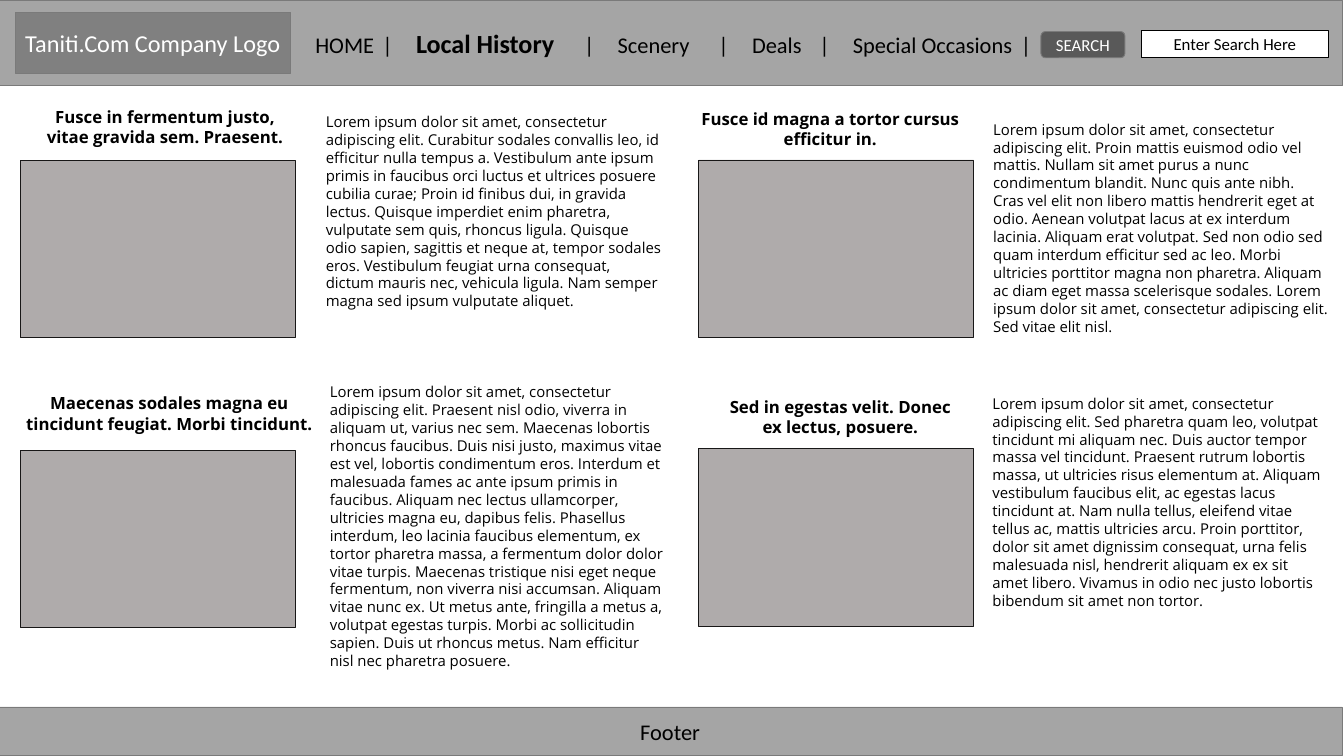
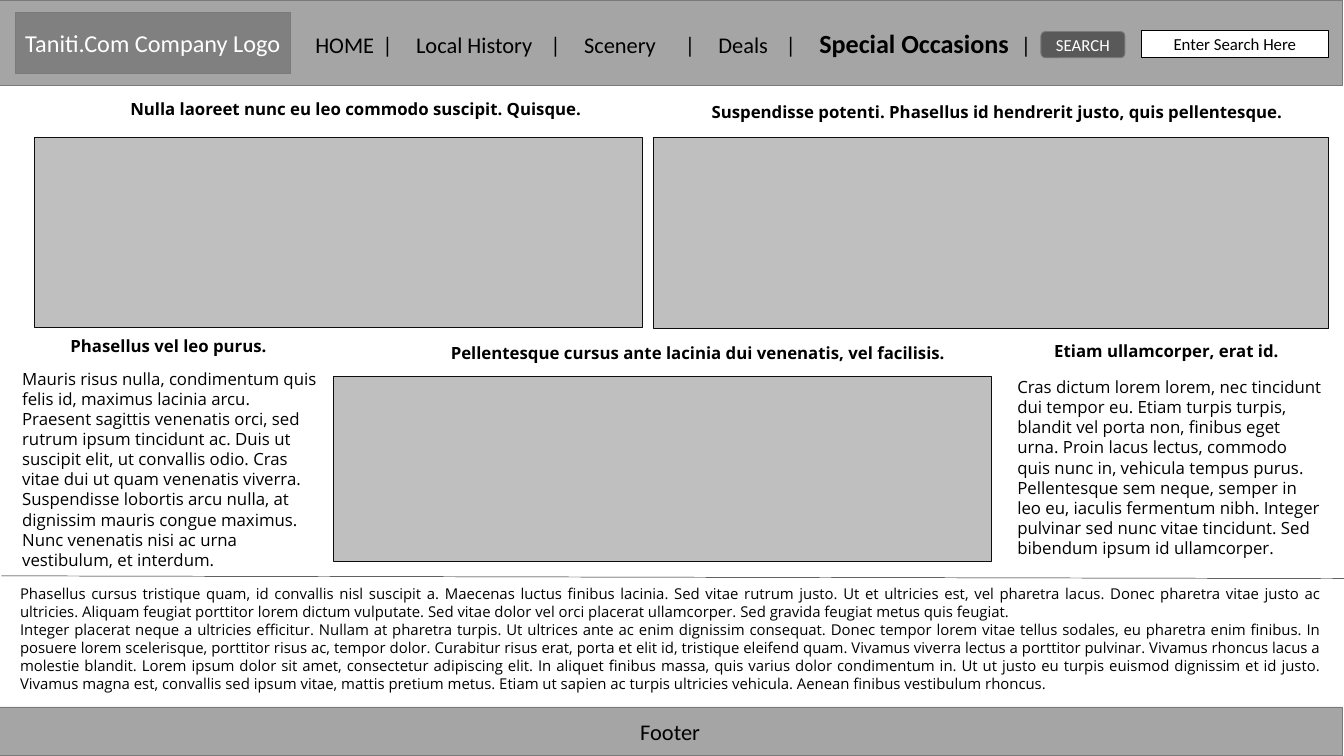
from lxml import etree
from pptx import Presentation
from pptx.dml.color import RGBColor
from pptx.enum.shapes import MSO_CONNECTOR, MSO_SHAPE
from pptx.enum.text import MSO_ANCHOR, MSO_AUTO_SIZE, PP_ALIGN
from pptx.oxml.ns import qn
from pptx.util import Pt

RECT, ROUNDED = MSO_SHAPE.RECTANGLE, MSO_SHAPE.ROUNDED_RECTANGLE
LEFT, CENTER, JUSTIFY = PP_ALIGN.LEFT, PP_ALIGN.CENTER, PP_ALIGN.JUSTIFY
MIDDLE, GROW = MSO_ANCHOR.MIDDLE, MSO_AUTO_SIZE.SHAPE_TO_FIT_TEXT

COLORS = {
    "band": "A5A5A5", "band_line": "7A7A7A", "logo": "808080", "button": "595959",
    "white": "FFFFFF", "black": "000000", "story": "AFABAB", "story_line": "181717",
    "event": "BFBFBF", "event_line": "0D0D0D",
}
FORMATS = {
    "nav": {"name": "Calibri", "size": Pt(24), "bold": False},
    "nav_active": {"name": "Calibri", "size": Pt(28), "bold": True},
    "logo": {"name": "Calibri", "size": Pt(26)},
    "control": {"name": "Calibri", "size": Pt(18)},
    "heading": {"name": "Open Sans", "size": Pt(18), "bold": True},
    "body": {"name": "Open Sans", "size": Pt(16)},
    "large_body": {"name": "Open Sans", "size": Pt(18)},
}
NAV_ITEMS = ["HOME", "Local History", "Scenery", "Deals", "Special Occasions"]
NAV_TEXT = "|\t" + "\t|\t".join(NAV_ITEMS) + "\t|\t "


def write(paragraph, text, style, color="black", align=LEFT):
    paragraph.alignment = align
    run = paragraph.add_run()
    run.text = text
    for attribute, value in FORMATS[style].items():
        setattr(run.font, attribute, value)
    run.font.color.rgb = RGBColor.from_string(COLORS[color])


def add_panel(slide, box, fill, line, kind=RECT):
    panel = slide.shapes.add_shape(kind, *map(Pt, box))
    panel.shadow.inherit = False
    panel.fill.solid()
    panel.fill.fore_color.rgb = RGBColor.from_string(COLORS[fill])
    panel.line.color.rgb = RGBColor.from_string(COLORS[line])
    panel.line.width = Pt(1)
    panel.text_frame.vertical_anchor = MIDDLE
    return panel.text_frame.paragraphs[0]


# Content of the Local History page: heading box, heading, photo corner, text box, text
STORY_PHOTO = (294.5, 190)
STORIES = [
    ((40.3, 110.9, 272.9, 51.1), "Fusce in fermentum justo, vitae gravida sem. Praesent.",
     (21.6, 172), (342, 117.4, 373.7, 239.8),
     "Lorem ipsum dolor sit amet, consectetur adipiscing elit. Curabitur sodales convallis leo, "
     "id efficitur nulla tempus a. Vestibulum ante ipsum primis in faucibus orci luctus et "
     "ultrices posuere cubilia curae; Proin id finibus dui, in gravida lectus. Quisque imperdiet "
     "enim pharetra, vulputate sem quis, rhoncus ligula. Quisque odio sapien, sagittis et neque "
     "at, tempor sodales eros. Vestibulum feugiat urna consequat, dictum mauris nec, vehicula "
     "ligula. Nam semper magna sed ipsum vulputate aliquet."),
    ((15.8, 417.6, 331.2, 51.1), "Maecenas sodales magna eu tincidunt feugiat. Morbi tincidunt.",
     (21.6, 482.4), (346.3, 406.8, 373.7, 317.5),
     "Lorem ipsum dolor sit amet, consectetur adipiscing elit. Praesent nisl odio, viverra in "
     "aliquam ut, varius nec sem. Maecenas lobortis rhoncus faucibus. Duis nisi justo, maximus "
     "vitae est vel, lobortis condimentum eros. Interdum et malesuada fames ac ante ipsum primis "
     "in faucibus. Aliquam nec lectus ullamcorper, ultricies magna eu, dapibus felis. Phasellus "
     "interdum, leo lacinia faucibus elementum, ex tortor pharetra massa, a fermentum dolor dolor "
     "vitae turpis. Maecenas tristique nisi eget neque fermentum, non viverra nisi accumsan. "
     "Aliquam vitae nunc ex. Ut metus ante, fringilla a metus a, volutpat egestas turpis. Morbi "
     "ac sollicitudin sapien. Duis ut rhoncus metus. Nam efficitur nisl nec pharetra posuere."),
    ((742.3, 113, 294.5, 51.1), "Fusce id magna a tortor cursus efficitur in.",
     (748.8, 171.4), (1057, 125.3, 373.7, 239.8),
     "Lorem ipsum dolor sit amet, consectetur adipiscing elit. Proin mattis euismod odio vel "
     "mattis. Nullam sit amet purus a nunc condimentum blandit. Nunc quis ante nibh. Cras vel "
     "elit non libero mattis hendrerit eget at odio. Aenean volutpat lacus at ex interdum "
     "lacinia. Aliquam erat volutpat. Sed non odio sed quam interdum efficitur sed ac leo. Morbi "
     "ultricies porttitor magna non pharetra. Aliquam ac diam eget massa scelerisque sodales. "
     "Lorem ipsum dolor sit amet, consectetur adipiscing elit. Sed vitae elit nisl."),
    ((763.9, 421.2, 272.9, 51.1), "Sed in egestas velit. Donec ex lectus, posuere.",
     (748.8, 481), (1056.2, 419, 373.7, 239.8),
     "Lorem ipsum dolor sit amet, consectetur adipiscing elit. Sed pharetra quam leo, volutpat "
     "tincidunt mi aliquam nec. Duis auctor tempor massa vel tincidunt. Praesent rutrum lobortis "
     "massa, ut ultricies risus elementum at. Aliquam vestibulum faucibus elit, ac egestas lacus "
     "tincidunt at. Nam nulla tellus, eleifend vitae tellus ac, mattis ultricies arcu. Proin "
     "porttitor, dolor sit amet dignissim consequat, urna felis malesuada nisl, hendrerit aliquam "
     "ex ex sit amet libero. Vivamus in odio nec justo lobortis bibendum sit amet non tortor."),
]
story_photos = [corner + STORY_PHOTO for _, _, corner, _, _ in STORIES]

# Text blocks: box, top inset, style, alignment, paragraphs
INSET, LOW_INSET = 3.6, 25.6
story_blocks = []
for heading_box, heading, _, text_box, text in STORIES:
    story_blocks += [(heading_box, INSET, "heading", CENTER, [heading]),
                     (text_box, INSET, "body", LEFT, [text])]

# Content of the Special Occasions page
event_photos = [(37.4, 146.9, 650.9, 203.8), (700.6, 146.9, 722.9, 205.2),
                (357.1, 403.2, 705.6, 198)]
event_blocks = [
    ((16.6, 391, 329.8, 225.4), INSET, "large_body", LEFT, [
        "Mauris risus nulla, condimentum quis felis id, maximus lacinia arcu. Praesent sagittis "
        "venenatis orci, sed rutrum ipsum tincidunt ac. Duis ut suscipit elit, ut convallis odio. "
        "Cras vitae dui ut quam venenatis viverra. Suspendisse lobortis arcu nulla, at dignissim "
        "mauris congue maximus. Nunc venenatis nisi ac urna vestibulum, et interdum."]),
    ((14.4, 622.8, 1408.3, 123.8), INSET, "body", JUSTIFY, [
        "Phasellus cursus tristique quam, id convallis nisl suscipit a. Maecenas luctus finibus "
        "lacinia. Sed vitae rutrum justo. Ut et ultricies est, vel pharetra lacus. Donec pharetra "
        "vitae justo ac ultricies. Aliquam feugiat porttitor lorem dictum vulputate. Sed vitae "
        "dolor vel orci placerat ullamcorper. Sed gravida feugiat metus quis feugiat.",
        "Integer placerat neque a ultricies efficitur. Nullam at pharetra turpis. Ut ultrices ante "
        "ac enim dignissim consequat. Donec tempor lorem vitae tellus sodales, eu pharetra enim "
        "finibus. In posuere lorem scelerisque, porttitor risus ac, tempor dolor. Curabitur risus "
        "erat, porta et elit id, tristique eleifend quam. Vivamus viverra lectus a porttitor "
        "pulvinar. Vivamus rhoncus lacus a molestie blandit. Lorem ipsum dolor sit amet, "
        "consectetur adipiscing elit. In aliquet finibus massa, quis varius dolor condimentum in. "
        "Ut ut justo eu turpis euismod dignissim et id justo. Vivamus magna est, convallis sed "
        "ipsum vitae, mattis pretium metus. Etiam ut sapien ac turpis ultricies vehicula. Aenean "
        "finibus vestibulum rhoncus."]),
    ((1082.9, 378, 340.6, 225.4), LOW_INSET, "large_body", LEFT, [
        "Cras dictum lorem lorem, nec tincidunt dui tempor eu. Etiam turpis turpis, blandit vel "
        "porta non, finibus eget urna. Proin lacus lectus, commodo quis nunc in, vehicula tempus "
        "purus. Pellentesque sem neque, semper in leo eu, iaculis fermentum nibh. Integer pulvinar "
        "sed nunc vitae tincidunt. Sed bibendum ipsum id ullamcorper."]),
    ((132.5, 102.2, 720.7, 28.8), INSET, "heading", LEFT,
     ["Nulla laoreet nunc eu leo commodo suscipit. Quisque."]),
    ((755.3, 105.8, 720.7, 28.8), INSET, "heading", LEFT,
     ["Suspendisse potenti. Phasellus id hendrerit justo, quis pellentesque."]),
    ((475.9, 363.6, 747.4, 28.8), INSET, "heading", LEFT,
     ["Pellentesque cursus ante lacinia dui venenatis, vel facilisis."]),
    ((68.4, 334.1, 738.7, 51.1), LOW_INSET, "heading", LEFT, ["Phasellus vel leo purus."]),
    ((1122.5, 361.4, 292.3, 29.5), INSET, "heading", LEFT, ["Etiam ullamcorper, erat id."]),
]

PAGES = [
    ("Local History", "story", story_photos, story_blocks),
    ("Special Occasions", "event", event_photos, event_blocks),
]

# Parts every page shares: box, fill, line, shape, text, style, text colour
FRAME = [
    ((-2, 757.5, 1440, 52.5), "band", "band_line", RECT, "Footer", "nav", "black"),
    ((1115.3, 33.8, 90, 28.1), "button", "band_line", ROUNDED, "SEARCH", "control", "white"),
    ((1222.6, 33.1, 200.9, 28.1), "white", "black", RECT, "Enter Search Here", "control", "black"),
    ((16.6, 13, 294.5, 65.5), "logo", "band_line", RECT, "Taniti.Com Company Logo", "logo", "white"),
]

deck = Presentation()
deck.slide_width, deck.slide_height = Pt(1440), Pt(810)
blank_layout = deck.slide_layouts[6]

for active_item, photo_color, photos, blocks in PAGES:
    page = deck.slides.add_slide(blank_layout)

    # Navigation band with the current page in bold
    navigation = add_panel(page, (-1.5, 0, 1440, 92), "band", "band_line")
    before, current, after = NAV_TEXT.partition(active_item)
    for text, style in [(before, "nav"), (current, "nav_active"), (after, "nav")]:
        write(navigation, text, style, align=CENTER)

    # Footer, search and logo
    for box, fill, line, kind, text, style, color in FRAME:
        write(add_panel(page, box, fill, line, kind), text, style, color, CENTER)

    # Photo areas
    for box in photos:
        add_panel(page, box, photo_color, photo_color + "_line")

    # Headings and text
    for box, top_inset, style, align, paragraphs in blocks:
        frame = page.shapes.add_textbox(*map(Pt, box)).text_frame
        frame.word_wrap = True
        frame.auto_size = GROW
        frame.margin_top = Pt(top_inset)
        for index, text in enumerate(paragraphs):
            paragraph = frame.add_paragraph() if index else frame.paragraphs[0]
            write(paragraph, text, style, align=align)

# Rule above the closing text of the last page
rule = page.shapes.add_connector(MSO_CONNECTOR.STRAIGHT, Pt(1.4), Pt(617), Pt(1450.8), Pt(619.9))
rule.line.color.rgb = RGBColor.from_string(COLORS["event_line"])
rule.line.width = Pt(0.5)
etree.SubElement(rule.element.spPr, qn("a:effectLst"))

deck.save("out.pptx")
